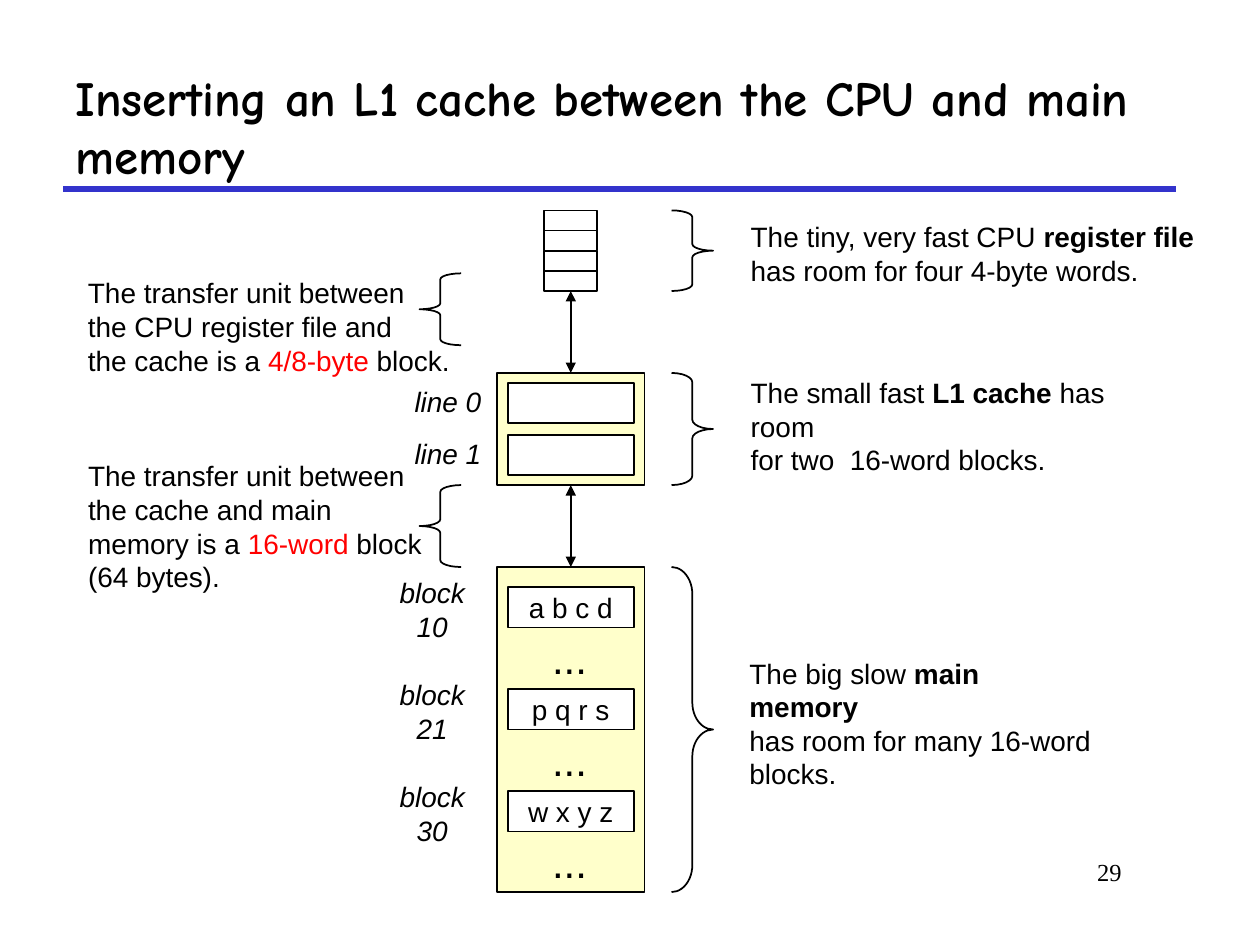
from pptx import Presentation
from pptx.dml.color import RGBColor
from pptx.enum.shapes import MSO_CONNECTOR, MSO_SHAPE
from pptx.enum.text import MSO_ANCHOR, PP_ALIGN
from pptx.oxml.ns import qn
from pptx.util import Inches, Pt
from lxml import etree

RECT = MSO_SHAPE.RECTANGLE
LEFT_BRACE, RIGHT_BRACE = MSO_SHAPE.LEFT_BRACE, MSO_SHAPE.RIGHT_BRACE
STRAIGHT = MSO_CONNECTOR.STRAIGHT
LEFT, MID, RIGHT = PP_ALIGN.LEFT, PP_ALIGN.CENTER, PP_ALIGN.RIGHT
TOP, MIDDLE = MSO_ANCHOR.TOP, MSO_ANCHOR.MIDDLE
BLACK, WHITE, RED, BLUE, CREAM = "000000", "FFFFFF", "FF0000", "3333CC", "FFFF99"
BOLD, HOT = {"bold": True}, {"color": RED}
AXIS = 4.53  # centre of the memory column


def rgb(code):
    return RGBColor.from_string(code)


def write(frame, lines, size=16, font="Arial", color=BLACK, bold=False,
          italic=False, align=LEFT, anchor=MIDDLE, wrap=False):
    """Fill a frame; each line is a string or a list of strings and (text, format) pairs."""
    frame.word_wrap = wrap
    frame.vertical_anchor = anchor
    for i, line in enumerate(lines):
        para = frame.add_paragraph() if i else frame.paragraphs[0]
        para.alignment = align
        for part in [line] if isinstance(line, str) else line:
            text, fmt = (part, {}) if isinstance(part, str) else part
            run = para.add_run()
            run.text = text
            run.font.name = font
            run.font.size = Pt(size)
            run.font.bold = fmt.get("bold", bold)
            run.font.italic = italic
            run.font.color.rgb = rgb(fmt.get("color", color))


class Deck:
    def __init__(self, slide, ink=BLACK, width=1):
        self.slide, self.ink, self.width = slide, ink, width

    def shape(self, kind, x, y, w, h, fill=None, alpha=None):
        item = self.slide.shapes.add_shape(
            kind, Inches(x), Inches(y), Inches(w), Inches(h))
        item.shadow.inherit = False
        item.line.color.rgb = rgb(self.ink)
        item.line.width = Pt(self.width)
        if fill:
            item.fill.solid()
            item.fill.fore_color.rgb = rgb(fill)
        else:
            item.fill.background()
        if alpha:
            tone = item.fill._xPr.find(".//" + qn("a:srgbClr"))
            etree.SubElement(tone, qn("a:alpha")).set("val", str(alpha * 1000))
        return item

    def box(self, y, w, h, text=None, **look):
        """Add a rectangle centred on the memory column."""
        item = self.shape(RECT, AXIS - w / 2, y, w, h, **look)
        if text:
            write(item.text_frame, [text], align=MID)
        return item

    def brace(self, kind, x, y, h):
        w = 0.33
        item = self.shape(kind, x, y, w, h)
        item.adjustments[0] = h / 12 / min(w, h)

    def text(self, x, y, w, h, *lines, **fmt):
        item = self.slide.shapes.add_textbox(
            Inches(x), Inches(y), Inches(w), Inches(h))
        write(item.text_frame, lines, **fmt)

    def line(self, x1, y1, x2, y2, color=None, width=None):
        item = self.slide.shapes.add_connector(
            STRAIGHT, Inches(x1), Inches(y1), Inches(x2), Inches(y2))
        item.line.color.rgb = rgb(color or self.ink)
        item.line.width = Pt(width or self.width)
        etree.SubElement(item._element.spPr, qn("a:effectLst"))
        return item

    def link(self, upper, lower):
        """Join two boxes with a vertical double-headed arrow."""
        item = self.line(AXIS, 0, AXIS, 1)
        item.begin_connect(upper, 2)
        item.end_connect(lower, 0)
        for end in ("headEnd", "tailEnd"):
            etree.SubElement(item.line._get_or_add_ln(),
                             qn("a:" + end)).set("type", "triangle")


def main():
    prs = Presentation()
    prs.slide_width, prs.slide_height = Inches(10), Inches(7.5)
    deck = Deck(prs.slides.add_slide(prs.slide_layouts[6]))

    deck.line(0.5, 1.5, 9.33, 1.5, color=BLUE, width=3)
    deck.text(0.5, 0.5, 8.83, 1,
              "Inserting an L1 cache between the CPU and main memory",
              size=28, font="Comic Neue", bold=True, wrap=True)
    deck.text(7.58, 6.75, 1.42, 0.5, "29", size=14, font="Times New Roman",
              align=RIGHT, anchor=TOP, wrap=True)

    cache = deck.box(2.96, 1.17, 0.89, fill=CREAM, alpha=50)
    memory = deck.box(4.5, 1.17, 2.58, fill=CREAM, alpha=50)
    for i in range(4):
        cell = deck.box(1.67 + 0.16 * i, 0.42, 0.16)
    deck.link(cell, cache)
    deck.link(cache, memory)

    for i in range(2):
        y = 3.04 + 0.41 * i
        deck.box(y, 1, 0.32, fill=WHITE)
        deck.text(3.19, y - 0.04, 0.73, 0.37, f"line {i}",
                  italic=True, align=MID)
    blocks = [("block 10", "a b c d"), ("block 21", "p q r s"),
              ("block 30", "w x y z")]
    for i, (name, data) in enumerate(blocks):
        y = 4.66 + 0.81 * i
        deck.box(y, 1, 0.32, data, fill=WHITE)
        deck.text(2.92, y - 0.01, 1.02, 0.37, name, italic=True, align=MID)
        deck.text(4.28, y + 0.31, 0.48, 0.5, "...", size=24, align=MID)

    for y, h in [(1.67, 0.64), (2.96, 0.89), (4.5, 2.58)]:
        deck.brace(RIGHT_BRACE, 5.33, y, h)
    for y, h in [(2.17, 0.57), (3.85, 0.65)]:
        deck.brace(LEFT_BRACE, 3.33, y, h)

    deck.text(5.86, 1.69, 3.73, 0.64,
              ["The tiny, very fast CPU ", ("register file", BOLD)],
              "has room for four 4-byte words.")
    deck.text(5.86, 3.06, 3.57, 0.64,
              ["The small fast ", ("L1 cache ", BOLD), "has room"],
              "for two  16-word blocks.")
    deck.text(5.85, 5.29, 2.94, 0.9,
              ["The big slow ", ("main memory", BOLD)],
              "has room for many 16-word", "blocks.")
    deck.text(0.6, 2.14, 3.07, 0.9,
              "The transfer unit between", "the CPU register file and",
              ["the cache is a ", ("4/8-byte", HOT), " block."])
    deck.text(0.6, 3.59, 2.85, 1.17,
              "The transfer unit between", "the cache and main",
              ["memory is a ", ("16-word", HOT), " block"], "(64 bytes).")

    prs.save("out.pptx")


if __name__ == "__main__":
    main()
